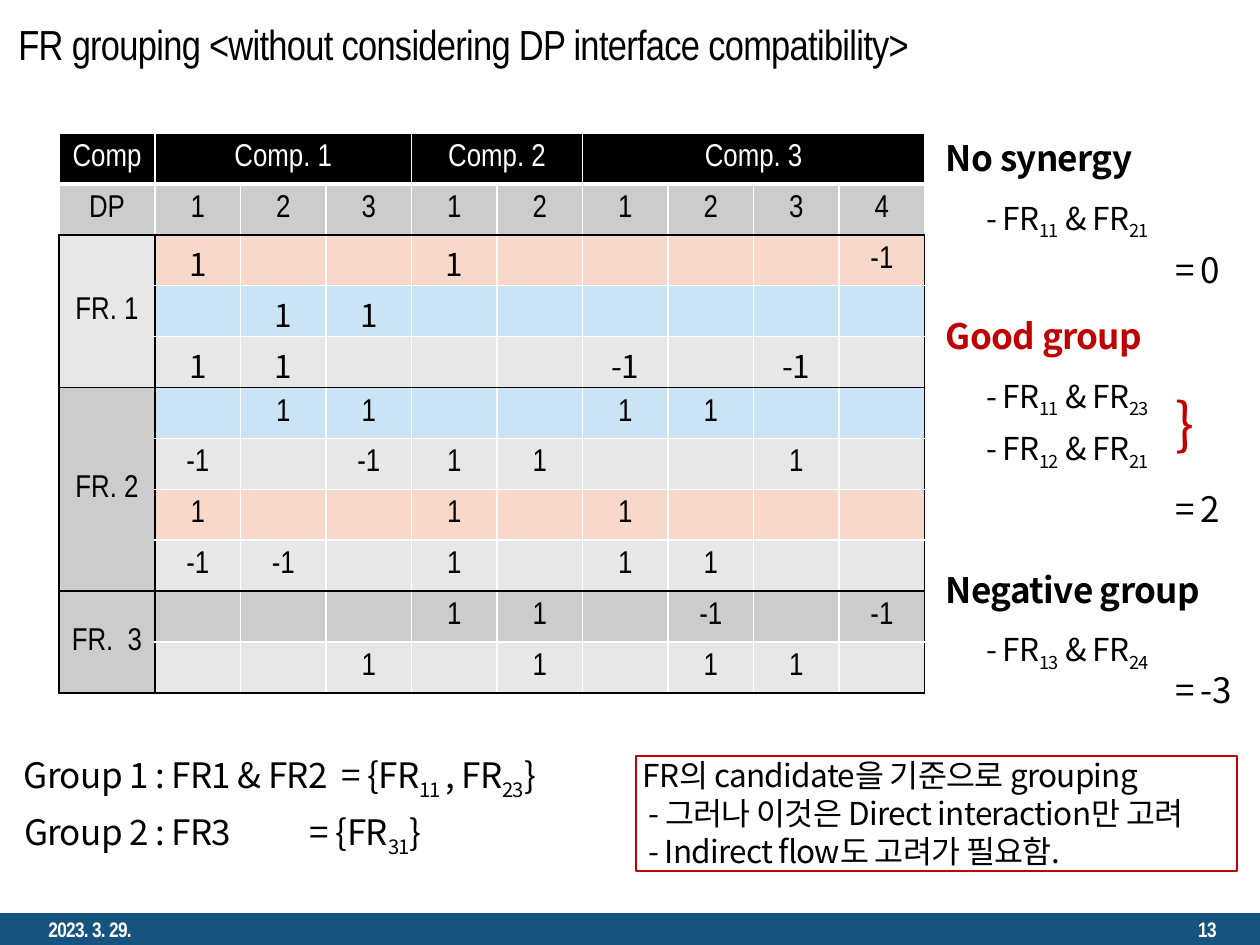
from typing import NamedTuple

from lxml import etree
from pptx import Presentation
from pptx.dml.color import RGBColor
from pptx.enum import shapes, text
from pptx.oxml.ns import qn
from pptx import util as u

SCALE = u.Inches(10) / 1260
NARROW, SANS = "Arial Narrow", "Noto Sans CJK KR"
BLACK = RGBColor(0x00, 0x00, 0x00)
WHITE = RGBColor(0xFF, 0xFF, 0xFF)
NAVY = RGBColor(0x16, 0x53, 0x7F)
RED = RGBColor(0xC0, 0x00, 0x00)
DARK = RGBColor(0xCC, 0xCC, 0xCC)
LIGHT = RGBColor(0xE7, 0xE7, 0xE7)
PEACH = RGBColor(0xF8, 0xD8, 0xCA)
SKY = RGBColor(0xCA, 0xE4, 0xF6)
LEFT, RIGHT = text.PP_ALIGN.LEFT, text.PP_ALIGN.RIGHT
CENTER = text.PP_ALIGN.CENTER
MIDDLE = text.MSO_ANCHOR.MIDDLE


class Label(NamedTuple):
    words: str
    x: int
    y: int
    w: int
    h: int
    size: int = 20
    color: RGBColor = BLACK
    bold: bool = False
    tab: int = 0


class Row(NamedTuple):
    fill: RGBColor
    values: str  # a dot marks an empty cell


class Group(NamedTuple):
    name: str
    fill: RGBColor
    rows: list[Row]


COMPONENTS = [("Comp. 1", 3), ("Comp. 2", 2), ("Comp. 3", 4)]
GROUPS = [
    Group("FR. 1", LIGHT, [
        Row(PEACH, "1 . . 1 . . . . -1"),
        Row(SKY, ". 1 1 . . . . . ."),
        Row(LIGHT, "1 1 . . . -1 . -1 ."),
    ]),
    Group("FR. 2", DARK, [
        Row(SKY, ". 1 1 . . 1 1 . ."),
        Row(LIGHT, "-1 . -1 1 1 . . 1 ."),
        Row(PEACH, "1 . . 1 . 1 . . ."),
        Row(LIGHT, "-1 -1 . 1 . 1 1 . ."),
    ]),
    Group("FR.  3", DARK, [
        Row(DARK, ". . . 1 1 . -1 . -1"),
        Row(LIGHT, ". . 1 . 1 . 1 1 ."),
    ]),
]
# Underscores enclose subscripts
LABELS = [
    Label("No synergy", 946, 136, 200, 43, bold=True),
    Label("- FR_11_ & FR_21_", 986, 199, 183, 38, 18),
    Label("= 0", 1175, 248, 54, 43),
    Label("Good group", 946, 314, 200, 43, color=RED, bold=True),
    Label("- FR_11_ & FR_23_", 986, 377, 183, 38, 18),
    Label("- FR_12_ & FR_21_", 986, 430, 183, 38, 18),
    Label("}", 1175, 388, 17, 68, 32, RED),
    Label("= 2", 1175, 488, 54, 43),
    Label("Negative group", 946, 568, 260, 43, bold=True),
    Label("- FR_13_ & FR_24_", 986, 631, 183, 38, 18),
    Label("= -3", 1175, 668, 68, 43),
    Label("Group 1 : FR1 & FR2  = {FR_11 _, FR_23_}", 24, 754, 553, 43),
    Label("Group 2 : FR3\t= {FR_31_}", 24, 811, 472, 43, tab=286),
]
NOTE = [
    (" FR의 candidate을 기준으로 grouping", 0),
    ("- 그러나 이것은 Direct interaction만 고려", 12),
    ("- Indirect flow도 고려가 필요함.", 12),
]


def px(length: int) -> int:
    return round(length * SCALE)


def write(para, words: str, *, size: int = 18, font: str = SANS, color=BLACK,
          bold: bool = False, align=LEFT, track: int = -40, leading: float = 0) -> None:
    para.alignment = align
    if leading:
        para.line_spacing = u.Pt(leading)
    for i, part in enumerate(words.split("_")):
        if not part:
            continue
        span = para.add_run()
        span.text = part
        span.font.size, span.font.name = u.Pt(size), font
        span.font.bold, span.font.color.rgb = bold, color
        props = span.font._element
        props.set("spc", str(track))
        if i % 2:
            props.set("baseline", "-25000")
        etree.SubElement(props, qn("a:ea")).set("typeface", font)


def add_box(page, x: int, y: int, w: int, h: int, inset: bool = False):
    box = page.shapes.add_textbox(px(x), px(y), px(w), px(h))
    frame = box.text_frame
    frame.word_wrap = inset
    if inset:
        frame.vertical_anchor = MIDDLE
    else:
        frame.margin_left = frame.margin_right = 0
        frame.margin_top = frame.margin_bottom = 0
    return box


def add_label(page, label: Label) -> None:
    box = add_box(page, label.x, label.y, label.w, label.h)
    para = box.text_frame.paragraphs[0]
    # Lines with subscripts need a little more room
    factor = 1.35 if "_" in label.words else 1.2
    write(para, label.words, size=label.size, color=label.color,
          bold=label.bold, leading=label.size * factor)
    if label.tab:
        stops = etree.SubElement(para._p.get_or_add_pPr(), qn("a:tabLst"))
        etree.SubElement(stops, qn("a:tab"), pos=str(px(label.tab)), algn="l")


def style_cell(cell, fill: RGBColor, edges: str = "", bottom: int = 1) -> None:
    """Fill a cell; the sides named in edges are black, the others white."""
    cell.fill.solid()
    cell.fill.fore_color.rgb = fill
    cell.vertical_anchor = MIDDLE
    cell.margin_top = cell.margin_bottom = 0
    for i, side in enumerate("LRTB"):
        width = u.Pt(bottom if side == "B" else 1)
        line = etree.Element(qn(f"a:ln{side}"), w=str(width))
        solid = etree.SubElement(line, qn("a:solidFill"))
        color = BLACK if side in edges else WHITE
        etree.SubElement(solid, qn("a:srgbClr"), val=str(color))
        cell._tc.get_or_add_tcPr().insert(i, line)


def write_cell(cell, words: str, color: RGBColor = BLACK, font: str = NARROW) -> None:
    if font == SANS:
        cell.margin_top = px(5)
    write(cell.text_frame.paragraphs[0], words, font=font, color=color,
          align=CENTER, track=-40 if font == SANS else 0)


def add_matrix(page) -> None:
    frame = page.shapes.add_table(11, 10, px(59), px(133), px(865), px(560))
    table = frame.table
    for i, column in enumerate(table.columns):
        column.width = px(770) // 9 if i else px(96)
    for row in table.rows:
        row.height = px(560) // 11

    # Component and DP headings
    for c in range(10):
        style_cell(table.cell(0, c), BLACK, bottom=3)
        style_cell(table.cell(1, c), DARK, "B")
    write_cell(table.cell(0, 0), "Comp", WHITE)
    write_cell(table.cell(1, 0), "DP")
    start = 1
    for name, count in COMPONENTS:
        table.cell(0, start).merge(table.cell(0, start + count - 1))
        write_cell(table.cell(0, start), name, WHITE)
        for i in range(count):
            write_cell(table.cell(1, start + i), str(i + 1))
        start += count

    # FR groups
    top = 2
    for group in GROUPS:
        last = top + len(group.rows) - 1
        for r, row in enumerate(group.rows, top):
            ends = "T" * (r == top) + "B" * (r == last)
            style_cell(table.cell(r, 0), group.fill, "LRTB")
            for c, value in enumerate(row.values.split(), 1):
                cell = table.cell(r, c)
                style_cell(cell, row.fill, ends + "L" * (c == 1) + "R" * (c == 9))
                if value != ".":
                    sans = group is GROUPS[0] and c < 9
                    write_cell(cell, value, font=SANS if sans else NARROW)
        table.cell(top, 0).merge(table.cell(last, 0))
        write_cell(table.cell(top, 0), group.name)
        top = last + 1


def add_rect(page, x: int, y: int, w: int, h: int):
    rect = page.shapes.add_shape(shapes.MSO_SHAPE.RECTANGLE, px(x), px(y), px(w), px(h))
    rect.shadow.inherit = False
    return rect


def main() -> None:
    deck = Presentation()
    deck.slide_width, deck.slide_height = u.Inches(10), u.Inches(7.5)
    page = deck.slides.add_slide(deck.slide_layouts[6])

    # Footer
    band = add_rect(page, 0, 913, 1260, 32)
    band.fill.solid()
    band.fill.fore_color.rgb = NAVY
    band.line.fill.background()
    for words, x, align in [("2023. 3. 29.", 36, LEFT), ("13", 945, RIGHT)]:
        box = add_box(page, x, 913, 284, 32, inset=True)
        write(box.text_frame.paragraphs[0], words, size=12, font=NARROW,
              color=WHITE, bold=True, align=align)

    # Title, matrix and labels
    title = add_box(page, 6, 3, 1290, 81, inset=True)
    write(title.text_frame.paragraphs[0], "FR grouping <without considering DP interface compatibility>",
          size=24, font=NARROW)
    add_matrix(page)
    for label in LABELS:
        add_label(page, label)

    # Outlined note
    note = add_rect(page, 636, 756, 601, 115)
    note.fill.background()
    note.line.color.rgb, note.line.width = RED, u.Pt(1.5)
    frame = note.text_frame
    frame.word_wrap, frame.vertical_anchor = True, text.MSO_ANCHOR.TOP
    frame.margin_left = frame.margin_right = frame.margin_top = frame.margin_bottom = 0
    for i, (words, indent) in enumerate(NOTE):
        para = frame.add_paragraph() if i else frame.paragraphs[0]
        write(para, words, leading=21.6)
        para._p.get_or_add_pPr().set("marL", str(px(indent)))

    deck.save("out.pptx")


if __name__ == "__main__":
    main()
